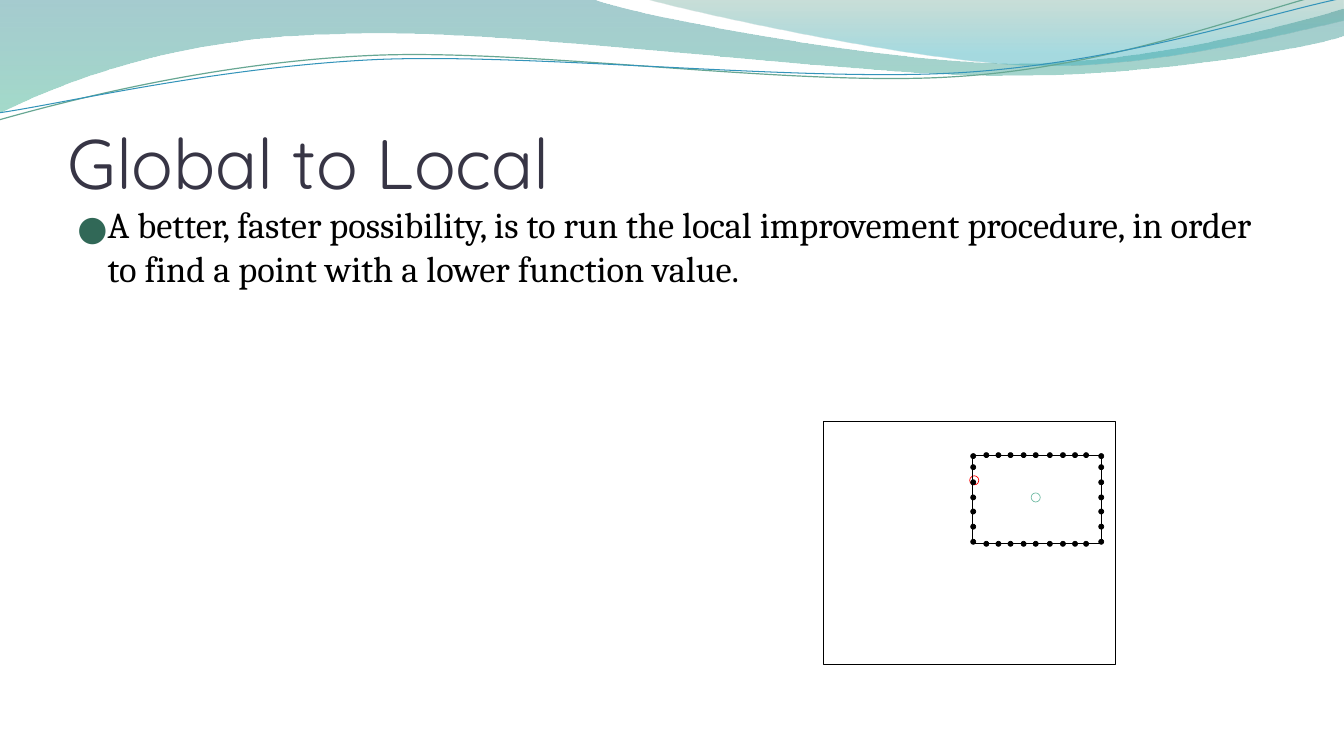
from math import cos, radians, sin
from lxml.etree import Element, SubElement
from pptx import Presentation
from pptx.dml.color import RGBColor
from pptx.enum.shapes import MSO_SHAPE
from pptx.enum.text import MSO_ANCHOR
from pptx.oxml.ns import qn
from pptx.util import Pt

PX = 9144
TILT = 2.7
BLACK = RGBColor(0x00, 0x00, 0x00)
RED = RGBColor(0xFF, 0x00, 0x00)
MINT = RGBColor(0x75, 0xBD, 0xA7)
INK = RGBColor(0x37, 0x35, 0x45)
TEAL = RGBColor(0x39, 0x8D, 0x96)
GREEN = RGBColor(0x58, 0xBD, 0x9F)
MOSS = RGBColor(0x4F, 0x94, 0x7F)
AQUA = RGBColor(0x3B, 0xAF, 0xBC)
SAGE = RGBColor(0x67, 0xA7, 0x93)
BLUE = RGBColor(0x34, 0x94, 0xBA)

WAVE = [[(0, 0)], [(587, -1)],
        [(634, 17), (884, 63), (1011, 63)], [(1137, 63), (1277, 26), (1333, 9)],
        [(1334, 36)],
        [(1311, 44), (1159, 76), (994, 75)], [(829, 75), (509, 28), (343, 34)],
        [(172, 36), (61, 83), (-2, 113)]]
CREST = [[(638, -1)], [(679, 11), (909, 62), (1025, 65)],
         [(1140, 69), (1282, 32), (1333, 21)], [(1333, 0)]]
UPPER = [[(-1, 119)], [(63, 101), (210, 62), (369, 55)],
         [(527, 48), (789, 87), (949, 76)], [(1110, 66), (1251, 8), (1330, -10)]]
LOWER = [[(-1, 112)], [(62, 103), (218, 66), (377, 59)],
         [(537, 53), (796, 82), (955, 72)], [(1114, 62), (1255, 14), (1333, -2)]]

SIDES = [450, 461, 476, 491, 505, 520, 535]
ROWS = [976, 988, 1000, 1013, 1025, 1039, 1052, 1064, 1075]


def add_path(slide, parts, close):
    """Add a freeform of lines and cubic curves without shadow."""
    parts = [[(round(x * PX), round(y * PX)) for x, y in part] for part in parts]
    ends = [part[-1] for part in parts]
    pen = slide.shapes.build_freeform(*ends[0])
    pen.add_line_segments(ends[1:], close=close)
    shape = pen.convert_to_shape()
    shape.shadow.inherit = False
    legs = list(shape._element.spPr.iter(qn("a:lnTo")))
    for leg, part in zip(legs, parts[1:]):
        if len(part) == 3:
            leg.tag = qn("a:cubicBezTo")
            for spot, (x, y) in enumerate(part[:2]):
                knob = Element(qn("a:pt"), x=str(x - shape.left),
                               y=str(y - shape.top))
                leg.insert(spot, knob)
    return shape


def add_band(slide, parts, stops):
    """Add a see-through band that fades from top to bottom."""
    shape = add_path(slide, parts, True)
    shape.line.fill.background()
    shape.fill.gradient()
    shape.fill.gradient_angle = 270
    for stop, (place, color, alpha) in zip(shape.fill.gradient_stops, stops):
        stop.position = place
        stop.color.rgb = color
    tints = shape._element.spPr.iter(qn("a:srgbClr"))
    for tint, (place, color, alpha) in zip(tints, stops):
        SubElement(tint, qn("a:alpha"), val=str(alpha * 1000))


def turn(point, mid):
    """Turn a point clockwise by the tilt around a middle."""
    dx, dy = point[0] - mid[0], point[1] - mid[1]
    c, s = cos(radians(TILT)), sin(radians(TILT))
    return mid[0] + dx * c - dy * s, mid[1] + dx * s + dy * c


def add_curve(slide, parts, mid, color, width):
    """Add an open curved line as a tilted shape."""
    flat = [[turn(point, mid) for point in part] for part in parts]
    shape = add_path(slide, flat, False)
    shape.rotation = 360 - TILT
    shape.fill.background()
    shape.line.color.rgb = color
    shape.line.width = Pt(width)


def add_mark(slide, kind, box, color, fill=None):
    """Add a thinly outlined shape."""
    shape = slide.shapes.add_shape(kind, *(n * PX for n in box))
    shape.shadow.inherit = False
    shape.line.color.rgb = color
    shape.line.width = Pt(0.5)
    if fill is None:
        shape.fill.background()
    else:
        shape.fill.solid()
        shape.fill.fore_color.rgb = fill


def add_text(slide, box, text, size, font, color):
    """Add a wrapped text box and return its frame."""
    frame = slide.shapes.add_textbox(*(n * PX for n in box)).text_frame
    frame.word_wrap = True
    frame.text = text
    face = frame.paragraphs[0].runs[0].font
    face.size, face.name = Pt(size), font
    face.color.rgb = color
    return frame


def add_bullet(para):
    """Give a paragraph a round green bullet and a hanging indent."""
    props = para._p.get_or_add_pPr()
    props.set("marL", str(30 * PX))
    props.set("indent", str(-30 * PX))
    tint = SubElement(props, qn("a:buClr"))
    SubElement(tint, qn("a:srgbClr"), val="316857")
    SubElement(props, qn("a:buSzPct"), val="95000")
    SubElement(props, qn("a:buFont"), typeface="Noto Sans Symbols")
    SubElement(props, qn("a:buChar"), char="●")


def add_dots(slide):
    """Set dots around the inner box."""
    spots = [(x, y) for x in (963, 1090) for y in SIDES]
    spots += [(x, y) for y in (449, 537) for x in ROWS]
    for x, y in spots:
        add_mark(slide, MSO_SHAPE.OVAL, (x, y, 5, 5), BLACK, BLACK)


def main():
    """Build the slide and save it."""
    deck = Presentation()
    deck.slide_width, deck.slide_height = 4000 * PX // 3, 750 * PX
    slide = deck.slides.add_slide(deck.slide_layouts[6])
    add_band(slide, WAVE, [(0, TEAL, 45), (1, GREEN, 55)])
    add_band(slide, CREST, [(0, MOSS, 30), (0.8, AQUA, 45)])
    add_curve(slide, UPPER, (665, 57), SAGE, 0.85)
    add_curve(slide, LOWER, (667, 59), BLUE, 0.75)
    title = add_text(slide, (67, 77, 1200, 125), "Global to Local",
                     50, "Quicksand", INK)
    title.vertical_anchor = MSO_ANCHOR.BOTTOM
    title.margin_left = title.margin_right = title.margin_bottom = 0
    add_mark(slide, MSO_SHAPE.RECTANGLE, (817, 418, 290, 241), BLACK)
    add_mark(slide, MSO_SHAPE.OVAL, (1023, 489, 9, 9), MINT)
    body = add_text(slide, (67, 196, 1200, 480),
                    "A better, faster possibility, is to run the local "
                    "improvement procedure, in order to find a point with "
                    "a lower function value.", 26, "Cambria", BLACK)
    add_bullet(body.paragraphs[0])
    add_mark(slide, MSO_SHAPE.OVAL, (962, 472, 9, 9), RED)
    add_mark(slide, MSO_SHAPE.RECTANGLE, (965, 452, 128, 87), BLACK)
    add_dots(slide)
    deck.save("out.pptx")


if __name__ == "__main__":
    main()
